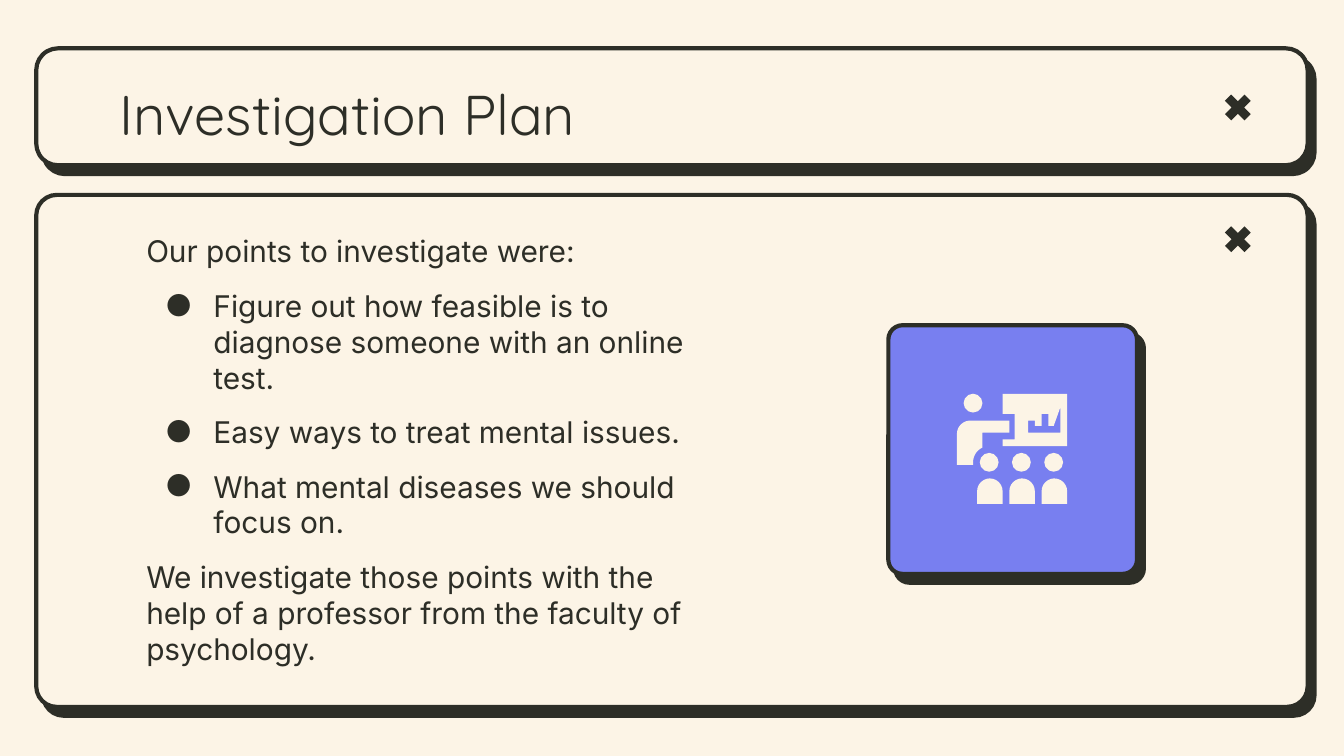
import math
from dataclasses import dataclass

import pptx
import pptx.dml.color
import pptx.enum.shapes
import pptx.enum.text
import pptx.oxml
import pptx.oxml.ns
import pptx.util
from pptx.util import Inches

SHAPE = pptx.enum.shapes.MSO_SHAPE
ANCHOR = pptx.enum.text.MSO_ANCHOR
NS = pptx.oxml.ns.nsdecls("a")


@dataclass(frozen=True)
class Theme:
    cream: str = "FCF4E6"
    ink: str = "2D2E27"
    violet: str = "787FF0"
    title_font: str = "Quicksand"
    body_font: str = "Inter"
    title_size: float = 30
    body_size: float = 16
    outline: float = 2.25
    gap: float = 10
    shadow_distance: float = 6
    shadow_angle: int = 52


def rgb(color):
    return pptx.dml.color.RGBColor.from_string(color)


def arc(cx, cy, radius, start, end, steps=12):
    """Points along an arc; angles in degrees, clockwise from the right."""
    angles = [math.radians(start + (end - start) * i / steps) for i in range(steps + 1)]
    return [(cx + radius * math.cos(a), cy + radius * math.sin(a)) for a in angles]


class SlideBuilder:
    def __init__(self, slide, theme):
        self.s = slide
        self.theme = theme
        slide.background.fill.solid()
        slide.background.fill.fore_color.rgb = rgb(theme.cream)

    def paint(self, sp, color):
        sp.shadow.inherit = False
        sp.fill.solid()
        sp.fill.fore_color.rgb = rgb(color)
        sp.line.fill.background()

    def shape(self, kind, box, color, adj=None, parent=None):
        shapes = (parent or self.s).shapes
        sp = shapes.add_shape(kind, *map(Inches, box))
        if adj is not None:
            sp.adjustments[0] = adj
        self.paint(sp, color)
        return sp

    def card(self, box, adj, color):
        """Outlined rounded rectangle with a hard offset shadow."""
        t = self.theme
        sp = self.shape(SHAPE.ROUNDED_RECTANGLE, box, color, adj)
        sp.line.color.rgb = rgb(t.ink)
        sp.line.width = pptx.util.Pt(t.outline)
        effects = sp._element.spPr.find(pptx.oxml.ns.qn("a:effectLst"))
        effects.append(pptx.oxml.parse_xml(
            f'<a:outerShdw {NS} dist="{pptx.util.Pt(t.shadow_distance)}" '
            f'dir="{t.shadow_angle * 60000}" algn="bl" rotWithShape="0">'
            f'<a:srgbClr val="{t.ink}"/></a:outerShdw>'))

    def outline(self, parent, *contours):
        """Filled freeform; a contour inside another one cuts a hole."""
        first, *rest = [[(Inches(x), Inches(y)) for x, y in c] for c in contours]
        builder = parent.shapes.build_freeform(*first[0], scale=1.0)
        builder.add_line_segments(first[1:], close=True)
        for contour in rest:
            builder.move_to(*contour[0])
            builder.add_line_segments(contour[1:], close=True)
        self.paint(builder.convert_to_shape(), self.theme.cream)

    def text(self, box, lines, font, size, anchor=ANCHOR.TOP):
        tf = self.s.shapes.add_textbox(*map(Inches, box)).text_frame
        tf.word_wrap = True
        tf.vertical_anchor = anchor
        tf.margin_left = tf.margin_right = tf.margin_top = tf.margin_bottom = Inches(0.1)
        for i, (line, bulleted) in enumerate(lines):
            p = tf.add_paragraph() if i else tf.paragraphs[0]
            p.text = line
            if bulleted:
                self.bullet(p, font)
            if i:
                p.space_before = pptx.util.Pt(self.theme.gap)
            for r in p.runs:
                r.font.name = font
                r.font.size = pptx.util.Pt(size)
                r.font.color.rgb = rgb(self.theme.ink)

    def bullet(self, p, font):
        pPr = p._p.get_or_add_pPr()
        pPr.set("marL", str(Inches(0.5)))
        pPr.set("indent", str(Inches(-0.36)))
        for xml in (f'<a:buClr {NS}><a:srgbClr val="{self.theme.ink}"/></a:buClr>',
                    f'<a:buFont {NS} typeface="{font}"/>',
                    f'<a:buChar {NS} char="●"/>'):
            pPr.append(pptx.oxml.parse_xml(xml))

    def head(self, parent, x, y):
        self.shape(SHAPE.OVAL, (x, y, 0.14, 0.14), self.theme.cream, parent=parent)

    def class_icon(self):
        """Presenter at a chart board, in front of three listeners."""
        icon = self.s.shapes.add_group_shape()
        self.head(icon, 7.17, 2.93)
        board = [(7.46, 2.93), (7.46, 3.08), (7.55, 3.08), (7.55, 3.27),
                 (7.46, 3.27), (7.46, 3.32), (7.94, 3.32), (7.94, 2.93)]
        bars = [(7.84, 3.03), (7.84, 3.22), (7.65, 3.22), (7.65, 3.13),
                (7.7, 3.13), (7.7, 3.17), (7.75, 3.17), (7.75, 3.08),
                (7.8, 3.08), (7.8, 3.17), (7.84, 3.17)]
        bars = [(x + 0.05 if i < 2 else x, y) for i, (x, y) in enumerate(bars)]
        self.outline(icon, board, bars)
        for i in range(3):
            x = 7.27 + 0.24 * i
            self.shape(SHAPE.ROUND_2_SAME_RECTANGLE, (x, 3.56, 0.19, 0.19),
                       self.theme.cream, 0.5, icon)
            self.head(icon, x + 0.02, 3.37)
        shoulder = arc(7.22, 3.23, 0.1, 270, 180)
        listener_cutout = arc(7.36, 3.44, 0.12, 180, 245)
        self.outline(icon, shoulder + [(7.12, 3.46), (7.24, 3.46)] + listener_cutout
                     + [(7.31, 3.22), (7.51, 3.22), (7.51, 3.13)])


def main():
    theme = Theme()
    prs = pptx.Presentation()
    prs.slide_width, prs.slide_height = Inches(10), Inches(5.625)
    slide = SlideBuilder(prs.slides.add_slide(prs.slide_layouts[6]), theme)

    slide.card((0.27, 0.36, 9.46, 0.87), 0.186, theme.cream)
    slide.card((0.27, 1.45, 9.46, 3.81), 0.04, theme.cream)
    for y in (0.66, 1.64):
        slide.shape(SHAPE.MATH_MULTIPLY, (9.07, y, 0.28, 0.28), theme.ink, 0.235)
    slide.card((6.61, 2.42, 1.85, 1.85), 0.057, theme.violet)

    slide.text((0.99, 1.69, 4.44, 3.31), [
        ("Our points to investigate were:", False),
        ("Figure out how feasible is to diagnose someone with an online test.", True),
        ("Easy ways to treat mental issues.", True),
        ("What mental diseases we should focus on.", True),
        ("We investigate those points with the help of a professor "
         "from the faculty of psychology.", False),
    ], theme.body_font, theme.body_size, ANCHOR.MIDDLE)
    slide.text((0.79, 0.49, 8.43, 0.63), [("Investigation Plan", False)],
               theme.title_font, theme.title_size)
    slide.class_icon()
    prs.save("out.pptx")


if __name__ == "__main__":
    main()
